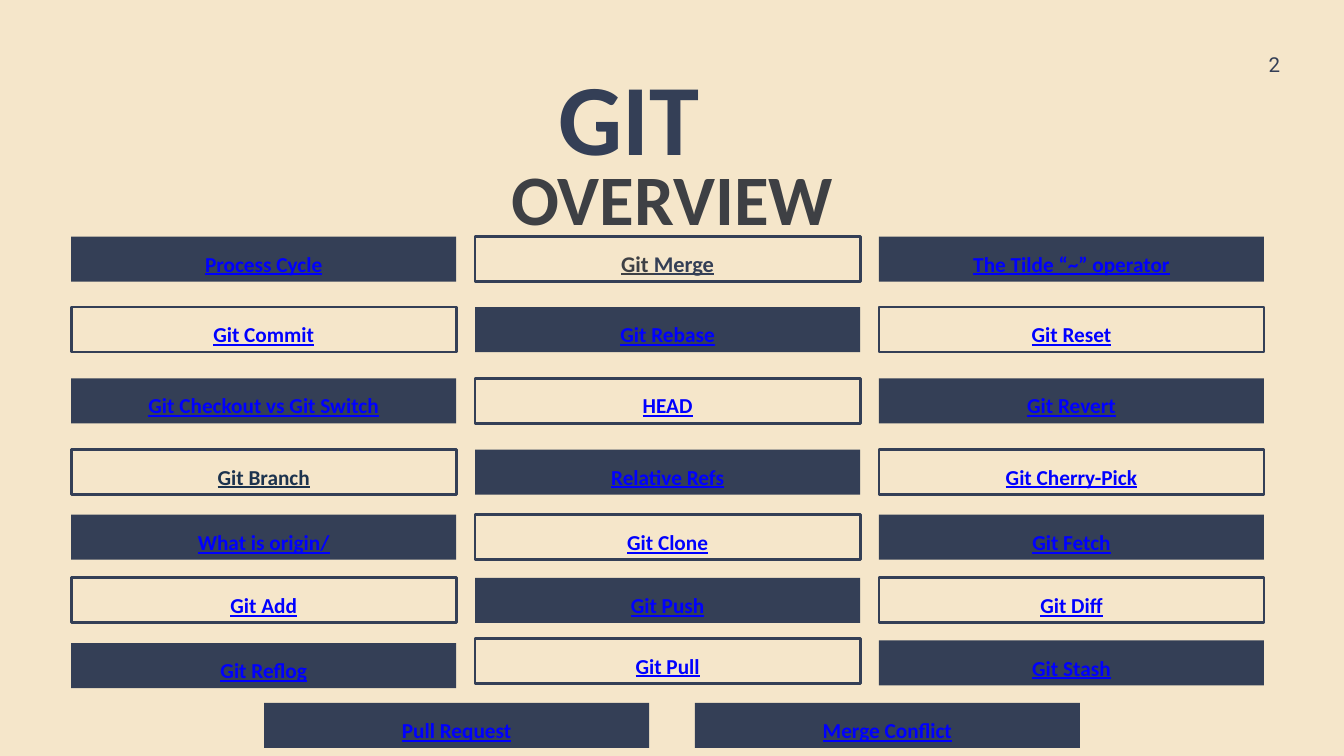
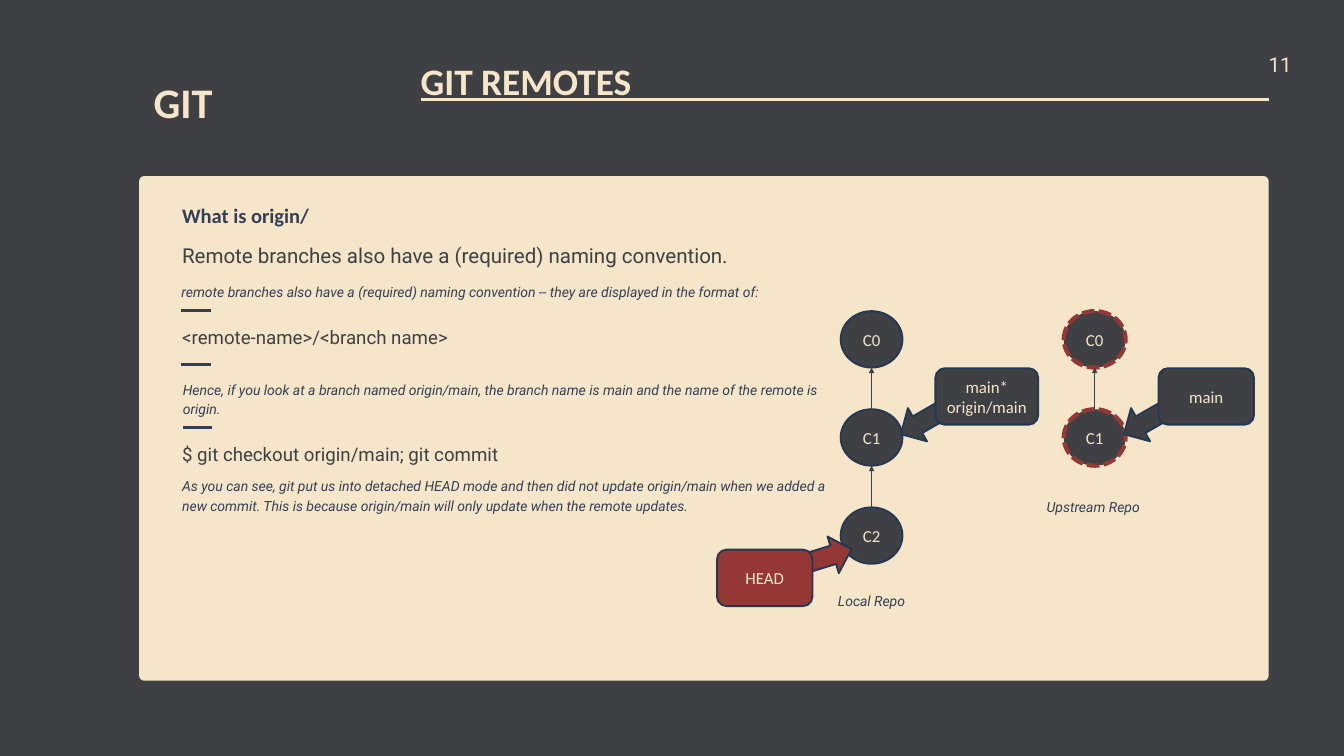
from dataclasses import dataclass

from pptx import Presentation
from pptx.dml.color import RGBColor
from pptx.enum.dml import MSO_LINE
from pptx.enum.shapes import MSO_CONNECTOR, MSO_SHAPE
from pptx.enum.text import MSO_ANCHOR, MSO_AUTO_SIZE, PP_ALIGN
from pptx.oxml.ns import qn
from pptx.util import Emu, Pt
from lxml.etree import SubElement


@dataclass(frozen=True)
class Theme:
    # Colours
    sand: str = "F5E6CA"
    navy: str = "343F56"
    slate: str = "3E4044"
    outline: str = "233953"
    red: str = "953735"
    link: str = "0000FF"
    deep_navy: str = "1C334E"
    # Fonts
    heading: str = "Calibri"
    body: str = "Roboto"
    # Type sizes in points
    hero: float = 108
    overview: float = 76
    brand: float = 45.1
    title: float = 40
    topic_large: float = 24
    topic: float = 22.8
    lead: float = 22
    command: float = 20
    node: float = 18
    note: float = 15


THEME = Theme()
PX = 9144  # 100 px to the inch
SLIDE_WIDTH, SLIDE_HEIGHT = 2000, 1125

# Topic grid: label columns, with the top of each column's last row
TOPIC_WIDTH, TOPIC_HEIGHT = 573, 67
COLUMN_LEFT, COLUMN_STEP = 106, 601
ROW_TOPS = (352, 457, 563, 669, 766, 860)
TOPIC_COLUMNS = (
    (957, ("Process Cycle", "Git Commit", "Git Checkout vs Git Switch",
           "Git Branch", "What is origin/", "Git Add", "Git Reflog")),
    (950, ("Git Merge", "Git Rebase", "HEAD", "Relative Refs",
           "Git Clone", "Git Push", "Git Pull")),
    (953, ("The Tilde “~” operator", "Git Reset", "Git Revert",
           "Git Cherry-Pick", "Git Fetch", "Git Diff", "Git Stash")),
)
EXTRA_TOPICS = ((393, "Pull Request"), (1034, "Merge Conflict"))
TOPIC_STYLES = {
    "Git Merge": dict(text=(("Git ", THEME.slate), ("Merge", THEME.navy)),
                      size=THEME.topic_large),
    "Git Branch": dict(color=THEME.deep_navy),
}

# Commit graph
COMMIT_WIDTH, COMMIT_HEIGHT, COMMIT_TOP, COMMIT_STEP = 92, 84, 463, 146
LOCAL_LEFT, UPSTREAM_LEFT = 1251, 1583


def rgb(color):
    return RGBColor.from_string(color)


def px(*lengths):
    return [Emu(length * PX) for length in lengths]


# Text
def write(frame, text, *, size, color=None, font=THEME.heading, bold=False,
          italic=False, underline=False, align=PP_ALIGN.LEFT, spacing=None,
          anchor=MSO_ANCHOR.TOP, insets=(0, 0, 0, 0)):
    """Fill a frame; text is a string or a series of (text, colour) runs."""
    frame.word_wrap = True
    frame.auto_size = MSO_AUTO_SIZE.NONE
    frame.vertical_anchor = anchor
    (frame.margin_left, frame.margin_top,
     frame.margin_right, frame.margin_bottom) = px(*insets)
    if isinstance(text, str):
        paragraphs = [((line, color),) for line in text.split("\n")]
    else:
        paragraphs = [text]
    for index, runs in enumerate(paragraphs):
        paragraph = frame.add_paragraph() if index else frame.paragraphs[0]
        paragraph.alignment = align
        if spacing:
            paragraph.line_spacing = Pt(spacing)
        for words, run_color in runs:
            run = paragraph.add_run()
            run.text = words
            run.font.name = font
            run.font.size = Pt(size)
            run.font.bold = bold
            run.font.italic = italic
            run.font.underline = underline
            run.font.color.rgb = rgb(run_color)


def add_text(slide, box, text, **style):
    write(slide.shapes.add_textbox(*px(*box)).text_frame, text, **style)


def add_note(slide, box, text, **style):
    add_text(slide, box, text, size=THEME.note, color=THEME.navy,
             font=THEME.body, italic=True, spacing=21, **style)


# Shapes and lines
def add_block(slide, kind, box, fill=None, line=None, weight=2):
    block = slide.shapes.add_shape(kind, *px(*box))
    block.shadow.inherit = False
    if fill:
        block.fill.solid()
        block.fill.fore_color.rgb = rgb(fill)
    else:
        block.fill.background()
    if line:
        block.line.color.rgb = rgb(line)
        block.line.width = Pt(weight)
    else:
        block.line.fill.background()
    return block


def add_line(slide, start, end, color, weight=3, arrow=False):
    line = slide.shapes.add_connector(MSO_CONNECTOR.STRAIGHT, *px(*start, *end))
    line.line.color.rgb = rgb(color)
    line.line.width = Pt(weight)
    if arrow:
        SubElement(line.line._get_or_add_ln(), qn("a:tailEnd"), type="triangle")
    SubElement(line._element.spPr, qn("a:effectLst"))
    return line


# Parts shared by the slides
def add_slide(deck, background, title, box, number, number_color, **title_style):
    slide = deck.slides.add_slide(deck.slide_layouts.get_by_name("Title Only"))
    slide.background.fill.solid()
    slide.background.fill.fore_color.rgb = rgb(background)
    heading = slide.shapes.title
    heading.left, heading.top, heading.width, heading.height = px(*box)
    write(heading.text_frame, title, bold=True, **title_style)
    add_text(slide, (1888, 71, 38, 42), number, size=THEME.lead,
             color=number_color, font=THEME.body, spacing=30.8)
    return slide


# Overview parts
def add_topic(slide, left, top, label, filled):
    box = (left, top, TOPIC_WIDTH, TOPIC_HEIGHT)
    if filled:
        topic = add_block(slide, MSO_SHAPE.RECTANGLE, box, fill=THEME.navy)
    else:
        topic = add_block(slide, MSO_SHAPE.RECTANGLE, box, line=THEME.navy, weight=3)
    style = dict(text=label, size=THEME.topic, color=THEME.link)
    style.update(TOPIC_STYLES.get(label, {}))
    write(topic.text_frame, bold=True, underline=True, spacing=32,
          align=PP_ALIGN.CENTER, insets=(0, 15, 0, 0), **style)


def build_overview(deck):
    slide = add_slide(deck, THEME.sand, "OVERVIEW", (680, 209, 640, 127),
                      "2", THEME.navy, size=THEME.overview, color=THEME.slate,
                      align=PP_ALIGN.CENTER, spacing=106.4)
    add_text(slide, (779, 51, 314, 210), "GIT", size=THEME.hero,
             color=THEME.navy, bold=True, align=PP_ALIGN.CENTER, spacing=151.2)
    for column, (last_top, labels) in enumerate(TOPIC_COLUMNS):
        left = COLUMN_LEFT + column * COLUMN_STEP
        for row, (top, label) in enumerate(zip((*ROW_TOPS, last_top), labels)):
            add_topic(slide, left, top, label, filled=(row + column) % 2 == 0)
    for left, label in EXTRA_TOPICS:
        add_topic(slide, left, 1046, label, filled=True)


# Commit graph parts
def label_node(node, text):
    write(node.text_frame, text, size=THEME.node, color=THEME.sand,
          align=PP_ALIGN.CENTER, anchor=MSO_ANCHOR.MIDDLE, insets=(10, 5, 10, 5))


def add_commits(slide, left, count, remote=False):
    for index in range(count):
        top = COMMIT_TOP + index * COMMIT_STEP
        commit = add_block(slide, MSO_SHAPE.OVAL,
                           (left, top, COMMIT_WIDTH, COMMIT_HEIGHT), THEME.slate,
                           THEME.red if remote else THEME.outline,
                           4.5 if remote else 2)
        if remote:
            commit.line.dash_style = MSO_LINE.SQUARE_DOT
        label_node(commit, f"C{index}")
        if index:
            center = left + COMMIT_WIDTH // 2
            parent_bottom = top - COMMIT_STEP + COMMIT_HEIGHT
            link = add_line(slide, (center, top), (center, parent_bottom),
                            THEME.slate, 0.75, arrow=True)
            link.begin_connect(commit, 0)


def add_pointer(slide, text, box, arrow_at, rotation, fill):
    arrow = add_block(slide, MSO_SHAPE.RIGHT_ARROW, (*arrow_at, 83, 57),
                      fill, THEME.outline)
    arrow.rotation = rotation
    label_node(add_block(slide, MSO_SHAPE.ROUNDED_RECTANGLE, box,
                         fill, THEME.outline), text)


def build_remotes(deck):
    slide = add_slide(deck, THEME.slate, "GIT REMOTES", (626, 77, 1261, 66),
                      "11", THEME.sand, size=THEME.title, color=THEME.sand,
                      spacing=55.1)
    add_line(slide, (626, 148), (1888, 148), THEME.sand)
    add_text(slide, (207, 101, 131, 88), "GIT", size=THEME.brand,
             color=THEME.sand, bold=True, align=PP_ALIGN.CENTER, spacing=63.2)
    panel = add_block(slide, MSO_SHAPE.ROUNDED_RECTANGLE,
                      (207, 262, 1681, 751), THEME.sand)
    panel.adjustments[0] = 0.01

    # Explanation
    add_text(slide, (271, 296, 404, 37), "What is origin/", size=THEME.lead,
             color=THEME.navy, bold=True, spacing=30.8)
    add_text(slide, (271, 355, 1537, 40),
             "Remote branches also have a (required) naming convention.",
             size=THEME.lead, color=THEME.slate, font=THEME.body, spacing=30.8)
    for left, top, height, note in (
        (270, 418, 27, "remote branches also have a (required) naming convention "
                       "-- they are displayed in the format of:"),
        (272, 563, 57, "Hence, if you look at a branch named origin/main, the branch "
                       "name is main and the name of the remote is origin."),
        (271, 707, 57, "As you can see, git put us into detached HEAD mode and then "
                       "did not update origin/main when we added a new commit. This is "
                       "because origin/main will only update when the remote updates."),
    ):
        add_note(slide, (left, top, 979, height), note)
    for top, command in ((479, "<remote-name>/<branch name>"),
                         (653, "$ git checkout origin/main; git commit")):
        add_text(slide, (271, top, 981, 36), command, size=THEME.command,
                 color=THEME.slate, font=THEME.body, align=PP_ALIGN.JUSTIFY,
                 spacing=28)
    for left, top in ((270, 462), (270, 542), (272, 636)):
        add_line(slide, (left, top), (left + 44, top), THEME.navy)

    # Repositories
    add_commits(slide, LOCAL_LEFT, 3)
    add_commits(slide, UPSTREAM_LEFT, 2, remote=True)
    add_pointer(slide, "HEAD", (1067, 818, 142, 84), (1186, 801), 342.8, THEME.red)
    add_pointer(slide, "main*\norigin/main", (1392, 548, 153, 84),
                (1335, 597), 150.1, THEME.slate)
    add_pointer(slide, "main", (1724, 548, 142, 84), (1667, 597), 150.1, THEME.slate)
    for left, top, caption in ((1222, 877, "Local Repo"),
                               (1552, 738, "Upstream Repo")):
        add_note(slide, (left, top, 150, 27), caption, align=PP_ALIGN.CENTER)


def main():
    deck = Presentation()
    deck.slide_width, deck.slide_height = px(SLIDE_WIDTH, SLIDE_HEIGHT)
    build_overview(deck)
    build_remotes(deck)
    deck.save("out.pptx")


if __name__ == "__main__":
    main()
